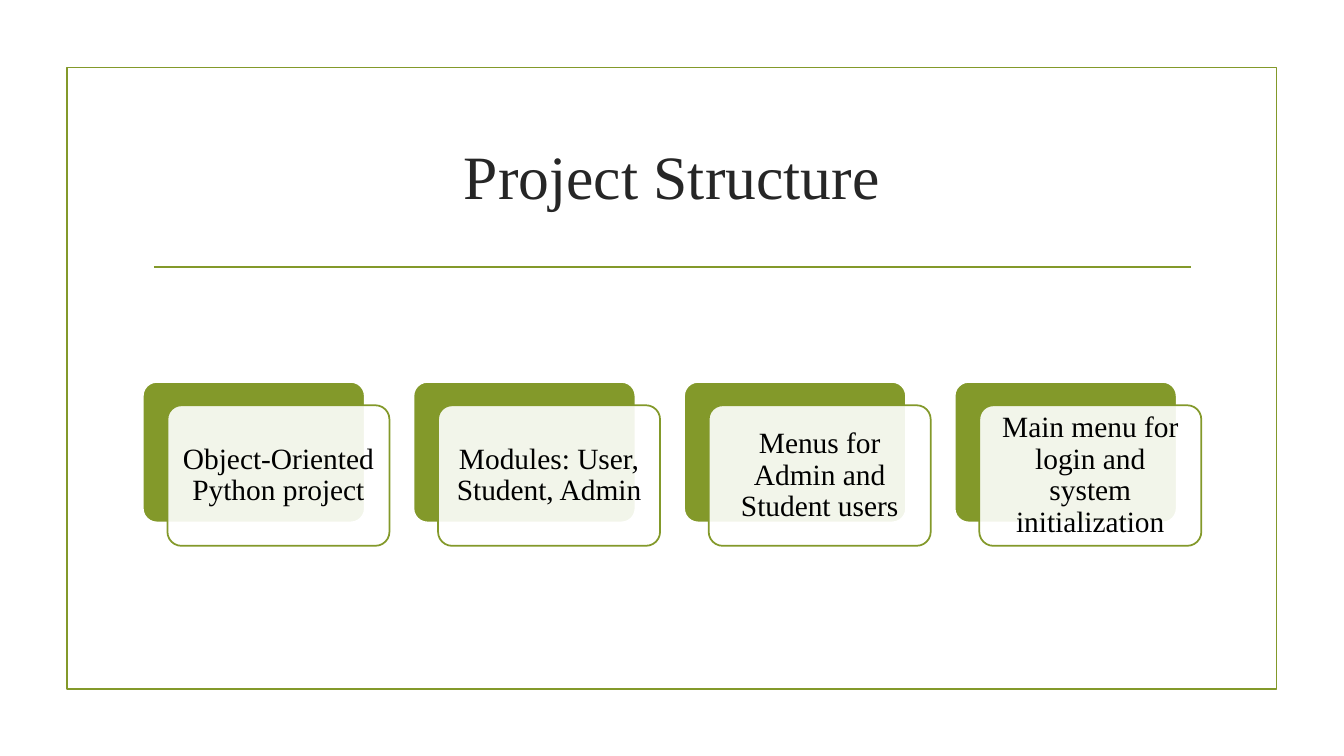
from dataclasses import dataclass

from lxml.etree import SubElement
from pptx import Presentation
from pptx.dml.color import RGBColor
from pptx.enum.shapes import MSO_CONNECTOR, MSO_SHAPE
from pptx.enum.text import MSO_ANCHOR, PP_ALIGN
from pptx.oxml.ns import qn
from pptx.shapes.autoshape import Shape
from pptx.slide import Slide
from pptx.text.text import TextFrame
from pptx.util import Pt

COLOURS = {"olive": "83992A", "white": "FFFFFF", "heading": "262626", "body": "000000"}
FONT = "Times New Roman"
RULE_WIDTH = 1.25

# Card grid, in points
FIRST_LEFT, CARD_TOP = 102, 272.8
CARD_WIDTH, CARD_HEIGHT = 158.6, 100.4
CARD_PITCH = 193.3
FRONT_SHIFT_X, FRONT_SHIFT_Y = 17.6, 16.7
CARD_INSET = 6.3


@dataclass(frozen=True)
class Box:
    left: float
    top: float
    width: float
    height: float


@dataclass(frozen=True)
class Card:
    column: int
    label: str

    @property
    def back(self) -> Box:
        return Box(FIRST_LEFT + self.column * CARD_PITCH, CARD_TOP, CARD_WIDTH, CARD_HEIGHT)

    @property
    def front(self) -> Box:
        return Box(self.back.left + FRONT_SHIFT_X, CARD_TOP + FRONT_SHIFT_Y,
                   CARD_WIDTH, CARD_HEIGHT)


LABELS = (
    "Object-Oriented Python project",
    "Modules: User, Student, Admin",
    "Menus for Admin and Student users",
    "Main menu for login and system initialization",
)
CARDS = [Card(column, label) for column, label in enumerate(LABELS)]


def colour(name: str) -> RGBColor:
    return RGBColor.from_string(COLOURS[name])


def add_panel(slide: Slide, kind: MSO_SHAPE, box: Box, line: str,
              fill: str | None = None, opacity: int = 100) -> Shape:
    panel = slide.shapes.add_shape(kind, Pt(box.left), Pt(box.top), Pt(box.width), Pt(box.height))
    panel.shadow.inherit = False
    panel.line.color.rgb = colour(line)
    panel.line.width = Pt(RULE_WIDTH)
    if fill is None:
        panel.fill.background()
    else:
        panel.fill.solid()
        panel.fill.fore_color.rgb = colour(fill)
    if opacity < 100:
        tint = panel.fill._xPr.find(qn("a:solidFill"))[0]
        SubElement(tint, qn("a:alpha"), val=str(opacity * 1000))
    if kind == MSO_SHAPE.ROUNDED_RECTANGLE:
        panel.adjustments[0] = 0.1
    return panel


def write_centred(frame: TextFrame, text: str, size: float, ink: str) -> None:
    frame.word_wrap = True
    frame.vertical_anchor = MSO_ANCHOR.MIDDLE
    paragraph = frame.paragraphs[0]
    paragraph.alignment = PP_ALIGN.CENTER
    paragraph.line_spacing = 0.9
    run = paragraph.add_run()
    run.text = text
    run.font.name = FONT
    run.font.size = Pt(size)
    run.font.color.rgb = colour(ink)


def add_divider(slide: Slide, left: float, right: float, top: float) -> None:
    divider = slide.shapes.add_connector(
        MSO_CONNECTOR.STRAIGHT, Pt(left), Pt(top), Pt(right), Pt(top))
    divider.line.color.rgb = colour("olive")
    divider.line.width = Pt(RULE_WIDTH)
    SubElement(divider._element.spPr, qn("a:effectLst"))


def add_card(slide: Slide, card: Card) -> None:
    rounded = MSO_SHAPE.ROUNDED_RECTANGLE
    add_panel(slide, rounded, card.back, "white", "olive")
    front = add_panel(slide, rounded, card.front, "olive", "white", 90)
    frame = front.text_frame
    frame.margin_left = frame.margin_right = Pt(CARD_INSET)
    frame.margin_top = frame.margin_bottom = Pt(CARD_INSET)
    write_centred(frame, card.label, 21, "body")


def main() -> None:
    deck = Presentation()
    deck.slide_width, deck.slide_height = Pt(960), Pt(540)
    slide = deck.slides.add_slide(deck.slide_layouts[5])

    # Frame and divider
    add_panel(slide, MSO_SHAPE.RECTANGLE, Box(47.8, 48.2, 864, 444), "olive")
    add_divider(slide, 110, 850.5, 190.8)

    # Heading
    heading = slide.shapes.title
    heading.left, heading.top = Pt(102), Pt(77)
    heading.width, heading.height = Pt(756), Pt(103)
    write_centred(heading.text_frame, "Project Structure", 44, "heading")

    # Structure cards
    for card in CARDS:
        add_card(slide, card)

    deck.save("out.pptx")


if __name__ == "__main__":
    main()
